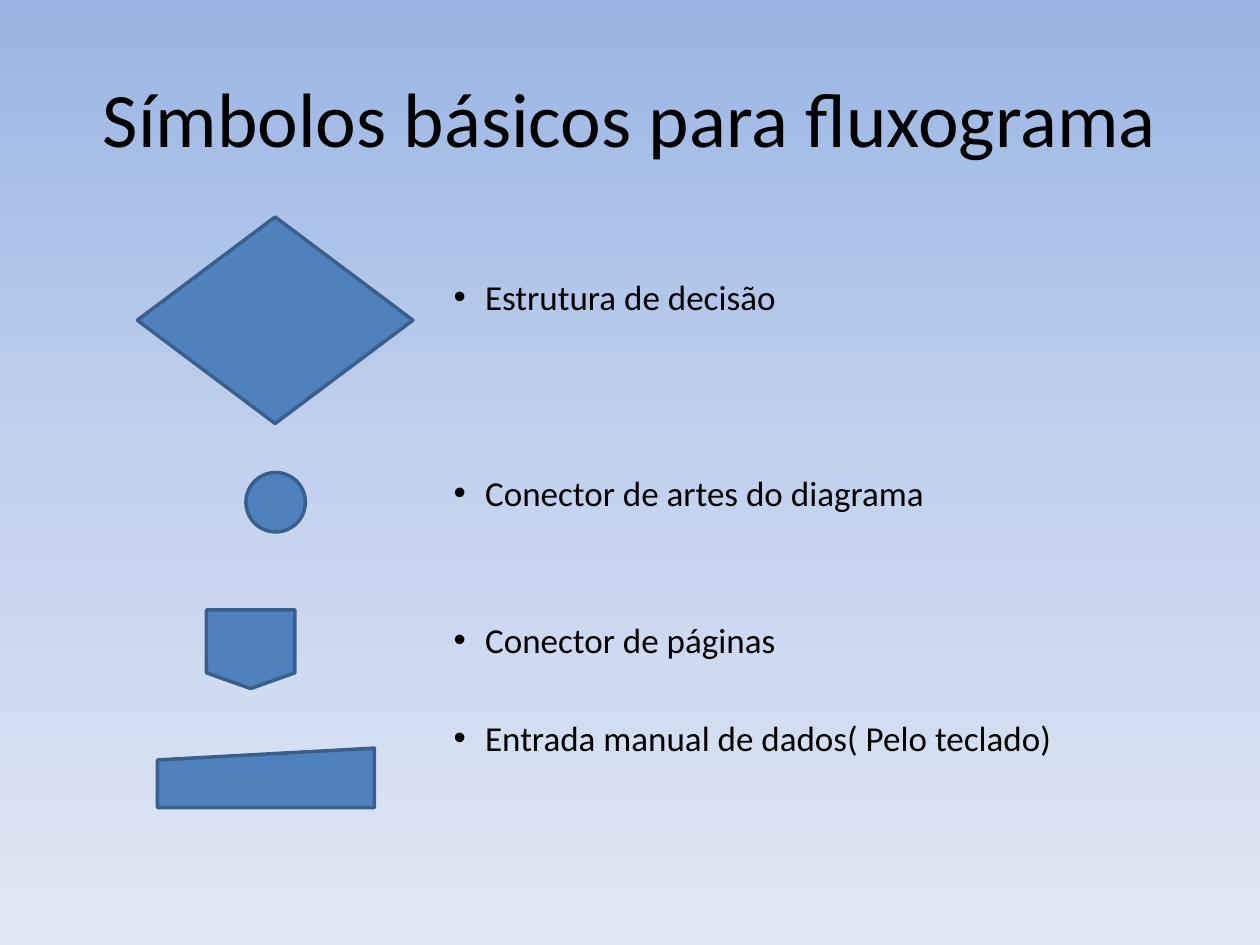
from copy import deepcopy

from pptx import Presentation
from pptx.dml.color import RGBColor
from pptx.enum.shapes import MSO_SHAPE
from pptx.enum.text import MSO_ANCHOR, PP_ALIGN
from pptx.oxml.ns import qn
from pptx.util import Pt

TITLE = "Símbolos básicos para fluxograma"
# Each meaning with the number of free lines above it
MEANINGS = [
    ("Estrutura de decisão", 0),
    ("Conector de artes do diagrama", 3),
    ("Conector de páginas", 2),
    ("Entrada manual de dados( Pelo teclado)", 1),
]
# Preset, left, top, width, height
SYMBOLS = [
    (MSO_SHAPE.FLOWCHART_DECISION, 78.5, 124, 157.5, 118),
    (MSO_SHAPE.FLOWCHART_CONNECTOR, 140.5, 270, 34, 34),
    (MSO_SHAPE.FLOWCHART_OFFPAGE_CONNECTOR, 118, 348.5, 50.5, 45),
    (MSO_SHAPE.FLOWCHART_MANUAL_INPUT, 90, 427.5, 124, 34),
]
BACKGROUND = [(0, "9AB5E4"), (0.5, "C2D1ED"), (1, "E1E8F5")]
LINE_PITCH = 28
PARAGRAPH_GAP = 4


def color(value):
    return RGBColor.from_string(value)


def place(box, left, top, width, height):
    box.left, box.top, box.width, box.height = map(Pt, (left, top, width, height))


def write(para, text, size, align, level=0, before=0):
    para.level = level
    para.alignment = align
    para.space_before = Pt(before)
    span = para.add_run()
    span.text = text
    span.font.name = "Calibri"
    span.font.size = Pt(size)
    span.font.color.rgb = color("000000")


def paint_background(page):
    fill = page.background.fill
    fill.gradient()
    fill.gradient_angle = 270
    stop_list = page.element.find(".//" + qn("a:gsLst"))
    stop_list.append(deepcopy(stop_list[-1]))
    for stop, (position, value) in zip(fill.gradient_stops, BACKGROUND):
        stop.position = position
        stop.color.rgb = color(value)


def add_symbol(page, preset, *bounds):
    symbol = page.shapes.add_shape(preset, *map(Pt, bounds))
    symbol.shadow.inherit = False
    symbol.fill.solid()
    symbol.fill.fore_color.rgb = color("4F81BD")
    symbol.line.color.rgb = color("3A5F8C")
    symbol.line.width = Pt(2)


def main():
    deck = Presentation()
    deck.slide_width, deck.slide_height = Pt(720), Pt(540)
    page = deck.slides.add_slide(deck.slide_layouts[1])
    paint_background(page)

    title, body = page.placeholders
    place(title, 36, 21.6, 648, 90)
    title.text_frame.vertical_anchor = MSO_ANCHOR.MIDDLE
    write(title.text_frame.paragraphs[0], TITLE, size=44, align=PP_ALIGN.CENTER)

    place(body, 36, 126, 648, 356.4)
    frame = body.text_frame
    frame.margin_top = Pt(3.6 + LINE_PITCH)
    for index, (meaning, free_lines) in enumerate(MEANINGS):
        para = frame.add_paragraph() if index else frame.paragraphs[0]
        before = PARAGRAPH_GAP + free_lines * LINE_PITCH if index else 0
        write(para, meaning, size=20, align=PP_ALIGN.LEFT, level=6, before=before)

    for symbol in SYMBOLS:
        add_symbol(page, *symbol)
    deck.save("out.pptx")


if __name__ == "__main__":
    main()
